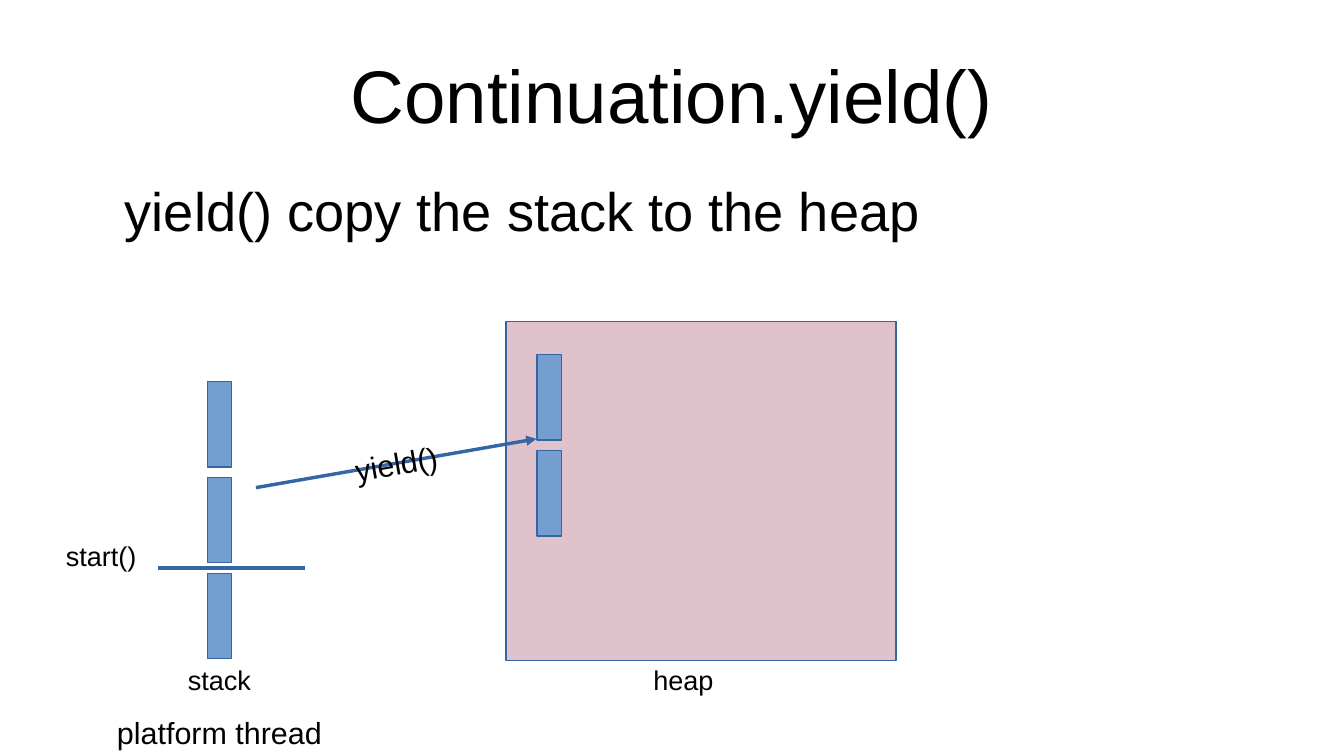
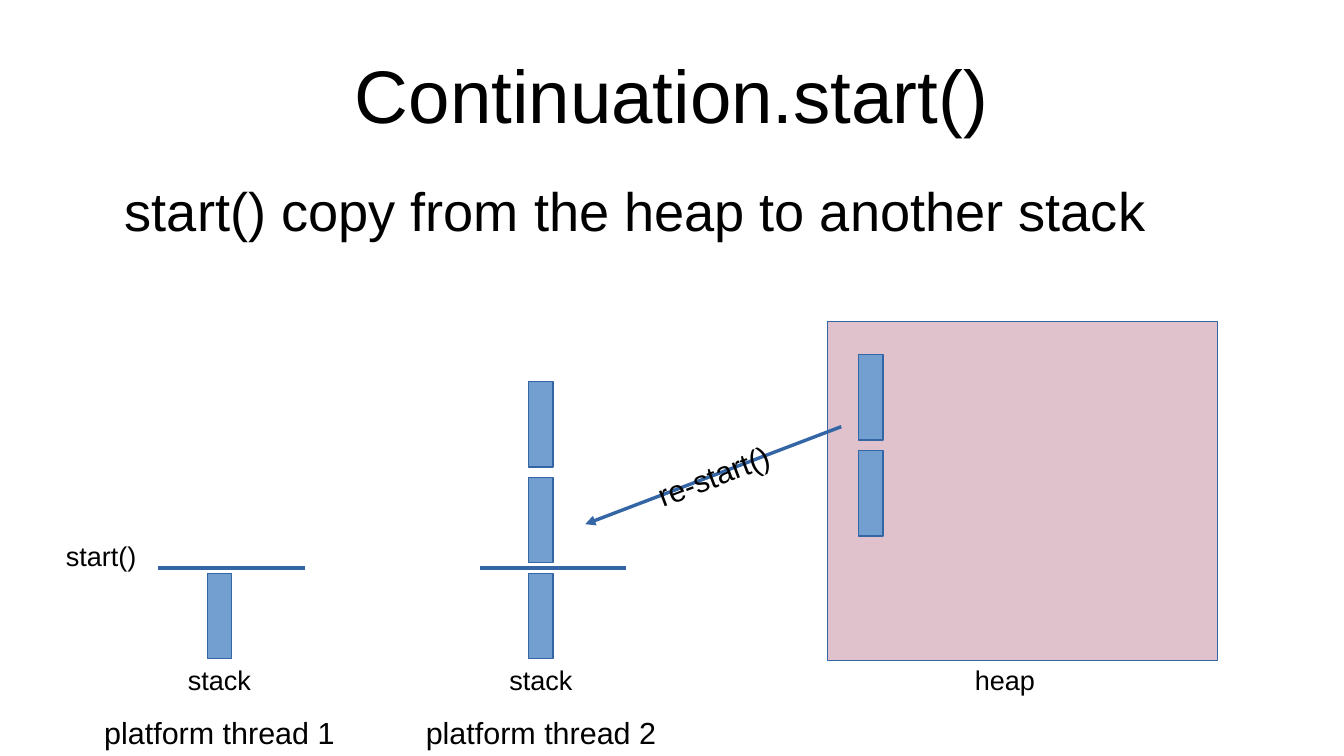
from dataclasses import dataclass
from math import atan2, degrees

from pptx import Presentation
from pptx.dml.color import RGBColor as RGB
from pptx.enum.shapes import MSO_CONNECTOR as Conn, MSO_SHAPE as Kind
from pptx.enum.text import MSO_ANCHOR as Anchor, MSO_AUTO_SIZE as Fit, PP_ALIGN as Align
from pptx.oxml.ns import qn
from pptx.util import Pt
from lxml.etree import SubElement


@dataclass(frozen=True)
class Theme:
    font: str = "Arial"
    ink: str = "000000"
    paper: str = "FFFFFF"
    frame: str = "729FCF"
    heap: str = "E0C2CD"
    edge: str = "3465A4"
    title: int = 44
    lead: int = 32
    text: int = 18
    note: int = 16


# Shared geometry, in points
WIDE, HIGH = 793.7, 446.5
BAR_W, BAR_H, STEP = 14.4, 50.4, 56.6
BASE = 338.6          # top of the lowest stack frame
MARK = 335.5          # line above the lowest frame
NAME_Y, THREAD_Y = 401.4, 432.7
SHIFT = 189.9         # distance from one column to the next
STACK_X = 129.6       # centre of the first stack
HEAP_X = 298.8        # left edge of the heap in the first slide


class Deck:
    def __init__(self, theme):
        self.theme = theme
        self.prs = Presentation()
        self.prs.slide_width, self.prs.slide_height = Pt(WIDE), Pt(HIGH)
        self.slide = None

    # Basic elements
    def put(self, box, text, size, align=Align.CENTER, anchor=Anchor.MIDDLE):
        frame = box.text_frame
        frame.auto_size = Fit.NONE
        frame.vertical_anchor = anchor
        frame.margin_left = frame.margin_right = 0
        frame.margin_top = frame.margin_bottom = 0
        para = frame.paragraphs[0]
        para.alignment = align
        run = para.add_run()
        run.text = text
        run.font.name, run.font.size = self.theme.font, Pt(size)
        run.font.color.rgb = RGB.from_string(self.theme.ink)
        return frame

    def page(self, title, lead):
        self.slide = self.prs.slides.add_slide(self.prs.slide_layouts[5])
        fill = self.slide.background.fill
        fill.solid()
        fill.fore_color.rgb = RGB.from_string(self.theme.paper)
        head = self.slide.shapes.title
        head.left, head.top, head.width, head.height = map(Pt, (39.7, 17.8, 714.3, 74.6))
        self.put(head, title, self.theme.title)
        box = self.slide.shapes.add_textbox(Pt(39.7), Pt(104.5), Pt(714.3), Pt(54))
        frame = self.put(box, lead, self.theme.lead, Align.LEFT, Anchor.TOP)
        frame.word_wrap = True
        frame.margin_left = Pt(34)

    def label(self, text, x, y, size, turn=0):
        """Place one line of text, centred on x, y."""
        wide, high = len(text) * size * 0.45 + 14.4, size + 9
        box = self.slide.shapes.add_textbox(
            Pt(x - wide / 2), Pt(y - high / 2), Pt(wide), Pt(high))
        self.put(box, text, size).word_wrap = False
        box.rotation = turn

    def rect(self, x, y, wide, high, color):
        box = self.slide.shapes.add_shape(Kind.RECTANGLE, Pt(x), Pt(y), Pt(wide), Pt(high))
        box.shadow.inherit = False
        box.fill.solid()
        box.fill.fore_color.rgb = RGB.from_string(color)
        self.edge(box.line)

    def edge(self, line):
        line.color.rgb = RGB.from_string(self.theme.edge)
        line.width = Pt(0)

    def line(self, x1, y1, x2, y2):
        link = self.slide.shapes.add_connector(
            Conn.STRAIGHT, Pt(x1), Pt(y1), Pt(x2), Pt(y2))
        self.edge(link.line)
        SubElement(link._element.spPr, qn("a:effectLst"))
        return link

    def arrow(self, text, x1, y1, x2, y2):
        link = self.line(x1, y1, x2, y2)
        SubElement(link._element.spPr.find(qn("a:ln")), qn("a:tailEnd"), type="triangle")
        # Keep the text upright in either direction
        run, rise = (x2 - x1, y2 - y1) if x2 > x1 else (x1 - x2, y1 - y2)
        self.label(text, (x1 + x2) / 2, (y1 + y2) / 2, self.theme.text,
                   degrees(atan2(rise, run)))

    # Parts of the diagram
    def bars(self, x, low, count):
        for i in range(count):
            self.rect(x, low - i * STEP, BAR_W, BAR_H, self.theme.frame)

    def stack(self, x, count, thread):
        self.bars(x - BAR_W / 2, BASE, count)
        self.line(x - 36, MARK, x + 50.4, MARK)
        self.label("stack", x, NAME_Y, self.theme.note)
        self.label(thread, x, THREAD_Y, self.theme.text)

    def start(self):
        self.label("start()", 59.8, 328, self.theme.note)

    def heap(self, x):
        self.rect(x, 190.1, 230.4, 200, self.theme.heap)
        self.bars(x + 18.4, 266.2, 2)
        self.label("heap", x + 104.8, NAME_Y, self.theme.note)


deck = Deck(Theme())

# Yield: stack to heap
deck.page("Continuation.yield()", "yield() copy the stack to the heap")
deck.stack(STACK_X, 3, "platform thread")
deck.start()
deck.heap(HEAP_X)
deck.arrow("yield()", 151.2, 288, 316.8, 259.2)

# Start: heap to another stack
deck.page("Continuation.start()", "start() copy from the heap to another stack")
deck.stack(STACK_X, 1, "platform thread 1")
deck.start()
deck.stack(STACK_X + SHIFT, 3, "platform thread 2")
deck.heap(HEAP_X + SHIFT)
deck.arrow("re-start()", 496.8, 252, 345.6, 309.6)

deck.prs.save("out.pptx")
